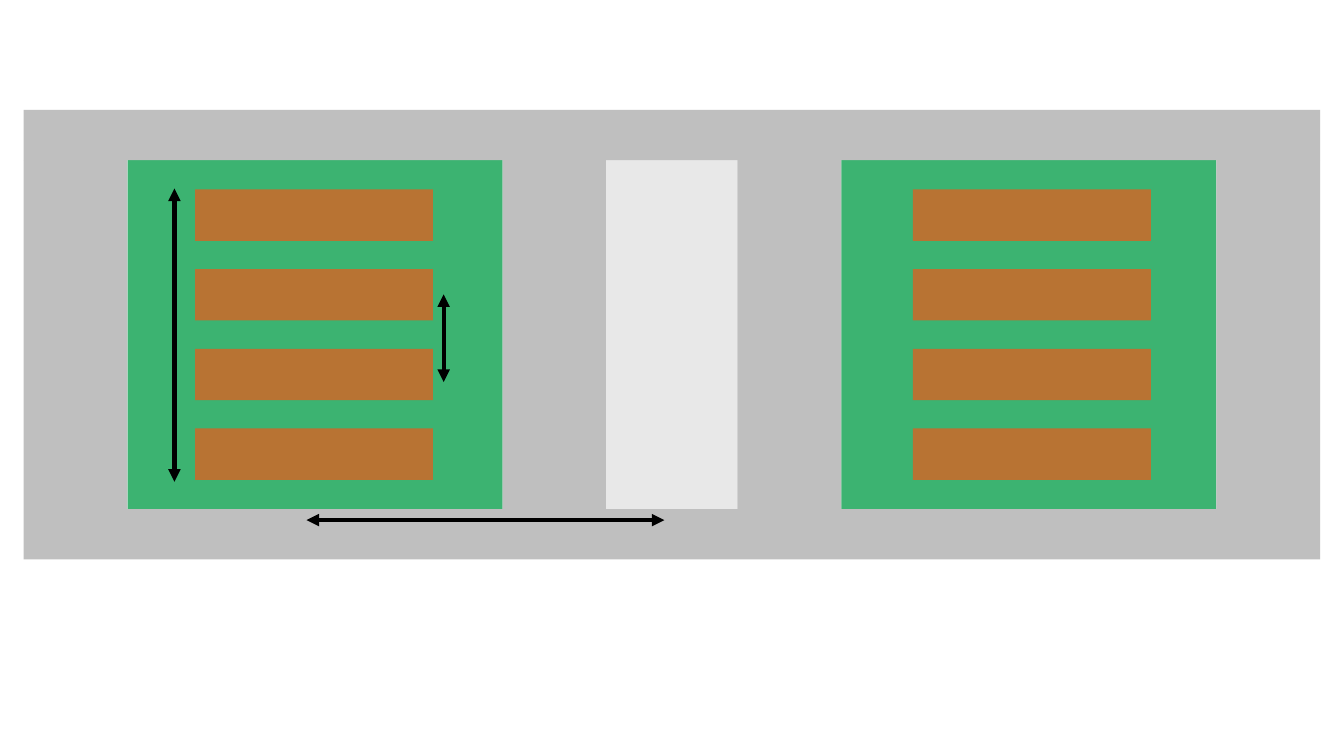
from itertools import accumulate
from lxml import etree
from pptx import Presentation
from pptx import util as u
from pptx.dml.color import RGBColor
from pptx.enum import shapes
from pptx.oxml.ns import qn

THEME = {"core": "BFBFBF", "gap": "E8E8E8", "window": "3CB371",
         "coil": "B87333", "arrow": "000000", "arrow_width": 3}
SLIDE = (13.33, 7.5)
COLUMNS = [("core", 1.03), ("window", 3.72), ("core", 1.03), ("gap", 1.3),
           ("core", 1.03), ("window", 3.72), ("core", 1.03)]
TOP, YOKE, LEG = 1.09, 0.5, 3.46
COIL = {"count": 4, "width": 2.36, "height": 0.51, "pitch": 0.79}
COIL_INSETS = {1: 0.67, 5: 0.71}
ARROWS = [((1.73, 4.78), (1.73, 1.87)),
          ((4.4, 3.79), (4.4, 2.92)),
          ((3.04, 5.16), (6.59, 5.16))]


def add_block(s, left, top, width, height, role):
    sp = s.shapes.add_shape(shapes.MSO_SHAPE.RECTANGLE,
                            *map(u.Inches, (left, top, width, height)))
    sp.shadow.inherit = False
    sp.fill.solid()
    sp.fill.fore_color.rgb = RGBColor.from_string(THEME[role])
    sp.line.fill.background()


def add_arrow(s, start, end):
    c = s.shapes.add_connector(shapes.MSO_CONNECTOR.STRAIGHT,
                               *map(u.Inches, start + end))
    c.line.color.rgb = RGBColor.from_string(THEME["arrow"])
    c.line.width = u.Pt(THEME["arrow_width"])
    ln = c.line._get_or_add_ln()
    for tag in ("a:headEnd", "a:tailEnd"):
        etree.SubElement(ln, qn(tag), type="triangle")
    etree.SubElement(c._element.spPr, qn("a:effectLst"))


def main():
    prs = Presentation()
    prs.slide_width, prs.slide_height = map(u.Inches, SLIDE)
    s = prs.slides.add_slide(prs.slide_layouts[6])

    widths = [width for _, width in COLUMNS]
    total = sum(widths)
    left = (SLIDE[0] - total) / 2
    lefts = list(accumulate(widths, initial=left))
    leg_top = TOP + YOKE

    for x, (role, width) in zip(lefts, COLUMNS):
        add_block(s, x, leg_top, width, LEG, role)
    for y in (TOP, leg_top + LEG):
        add_block(s, left, y, total, YOKE, "core")

    stack = (COIL["count"] - 1) * COIL["pitch"] + COIL["height"]
    coil_top = leg_top + (LEG - stack) / 2
    for column, inset in COIL_INSETS.items():
        for i in range(COIL["count"]):
            add_block(s, lefts[column] + inset, coil_top + i * COIL["pitch"],
                      COIL["width"], COIL["height"], "coil")

    for start, end in ARROWS:
        add_arrow(s, start, end)

    prs.save("out.pptx")


if __name__ == "__main__":
    main()
